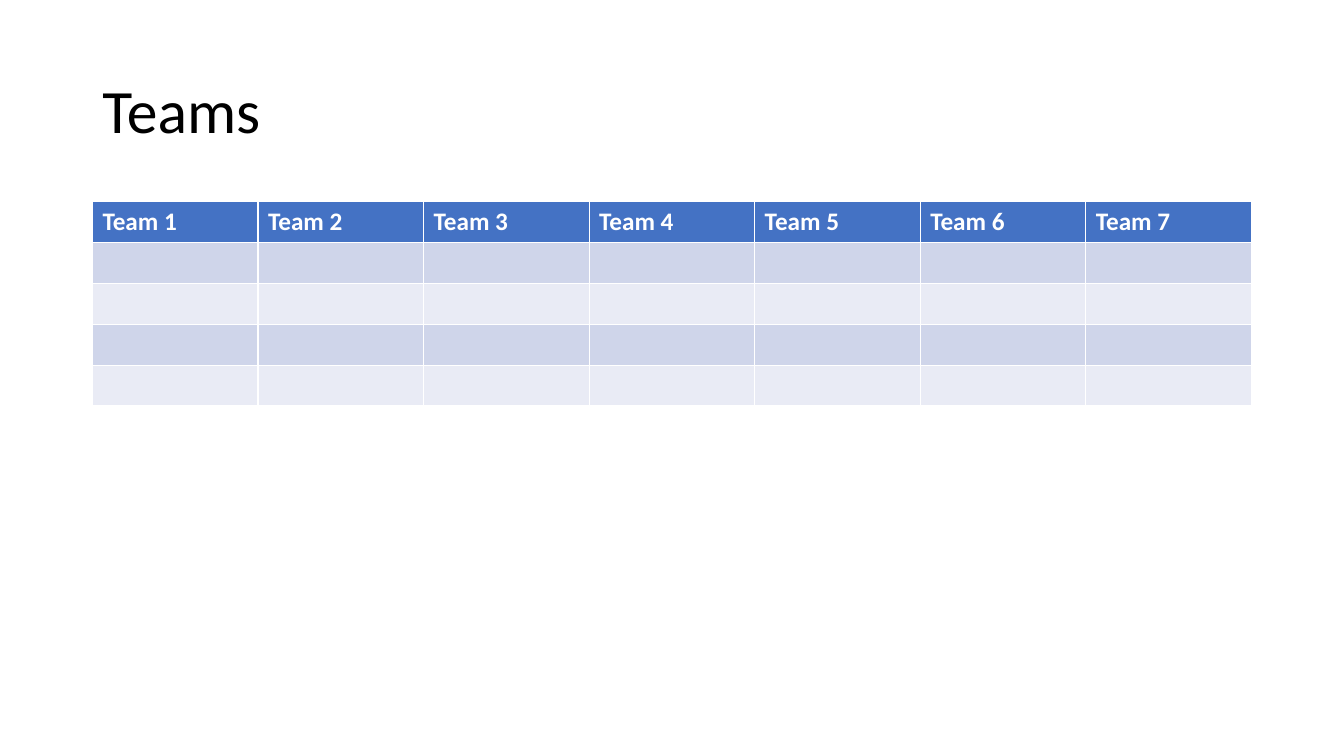
import pptx
import pptx.dml.color
import pptx.enum.text
import pptx.util

Cm = pptx.util.Cm
Pt = pptx.util.Pt
RGBColor = pptx.dml.color.RGBColor

HEADING = "Teams"
TEAMS = ["Team 1", "Team 2", "Team 3", "Team 4", "Team 5", "Team 6", "Team 7"]
EMPTY_ROWS = 4

FONT = "Calibri"
BLACK = RGBColor(0x00, 0x00, 0x00)
WHITE = RGBColor(0xFF, 0xFF, 0xFF)
HEADER_BLUE = RGBColor(0x44, 0x72, 0xC4)
BANDS = [RGBColor(0xCF, 0xD5, 0xEA), RGBColor(0xE9, 0xEB, 0xF5)]

LEFT, WIDTH = Cm(2.33), Cm(29.21)
HEADING_TOP, HEADING_HEIGHT = Cm(1.01), Cm(3.68)
TEAMS_TOP, ROW_HEIGHT = Cm(5.08), Cm(1.03)


def style(paragraph, size, color, bold=False):
    paragraph.font.name = FONT
    paragraph.font.size = Pt(size)
    paragraph.font.color.rgb = color
    paragraph.font.bold = bold


def add_heading(slide):
    frame = slide.shapes.add_textbox(LEFT, HEADING_TOP, WIDTH, HEADING_HEIGHT).text_frame
    frame.word_wrap = True
    frame.vertical_anchor = pptx.enum.text.MSO_ANCHOR.MIDDLE
    heading = frame.paragraphs[0]
    heading.text = HEADING
    heading.line_spacing = 0.9
    style(heading, 44, BLACK)


def add_teams(slide):
    row_count = EMPTY_ROWS + 1
    teams = slide.shapes.add_table(
        row_count, len(TEAMS), LEFT, TEAMS_TOP, WIDTH, ROW_HEIGHT * row_count
    ).table
    for column, team in enumerate(TEAMS):
        header = teams.cell(0, column)
        header.text = team
        style(header.text_frame.paragraphs[0], 18, WHITE, bold=True)
    for index, row in enumerate(teams.rows):
        for cell in row.cells:
            cell.fill.solid()
            cell.fill.fore_color.rgb = BANDS[(index - 1) % 2] if index else HEADER_BLUE


def main():
    deck = pptx.Presentation()
    deck.slide_width, deck.slide_height = Cm(33.87), Cm(19.05)
    slide = deck.slides.add_slide(deck.slide_layouts[6])
    add_heading(slide)
    add_teams(slide)
    deck.save("out.pptx")


if __name__ == "__main__":
    main()
